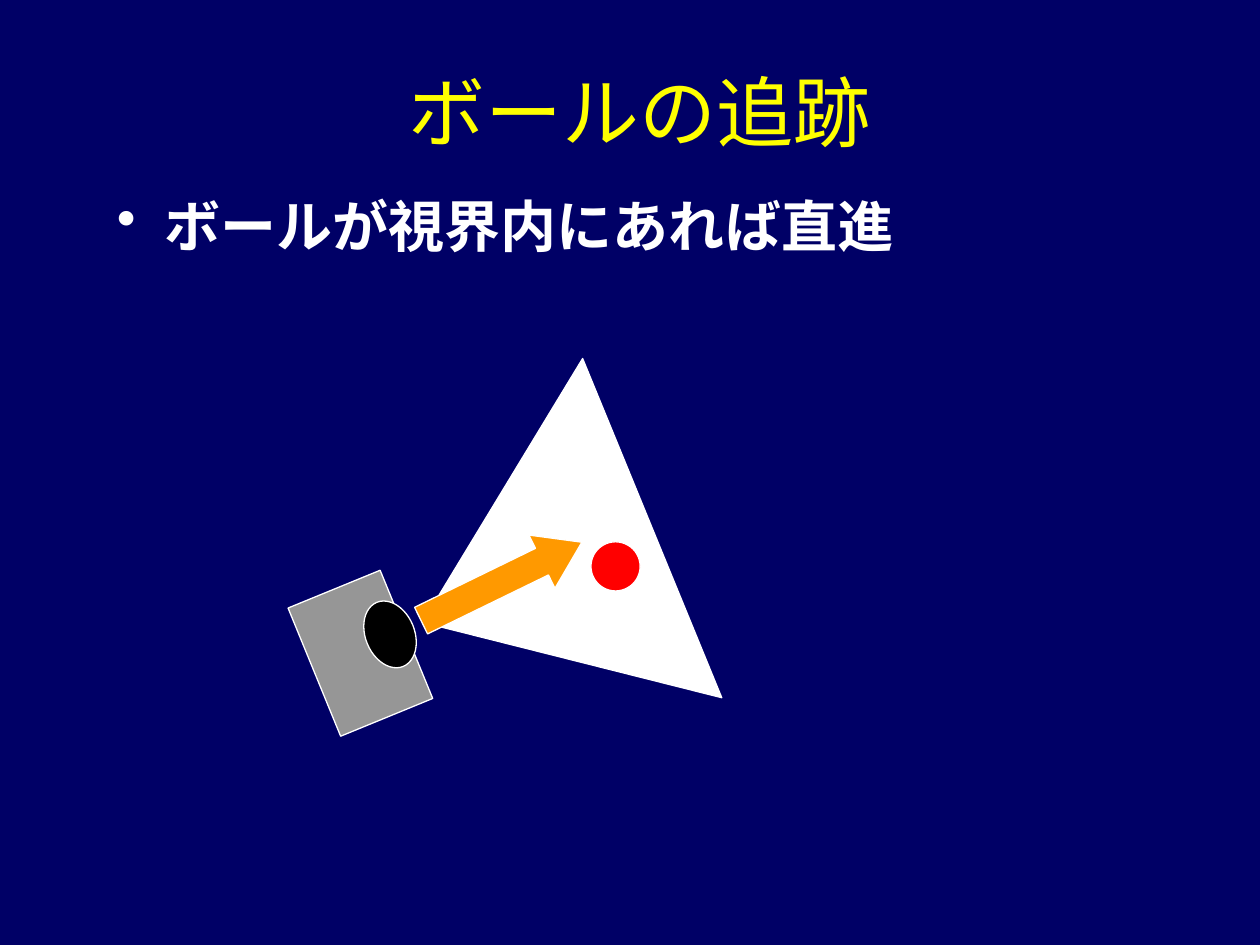
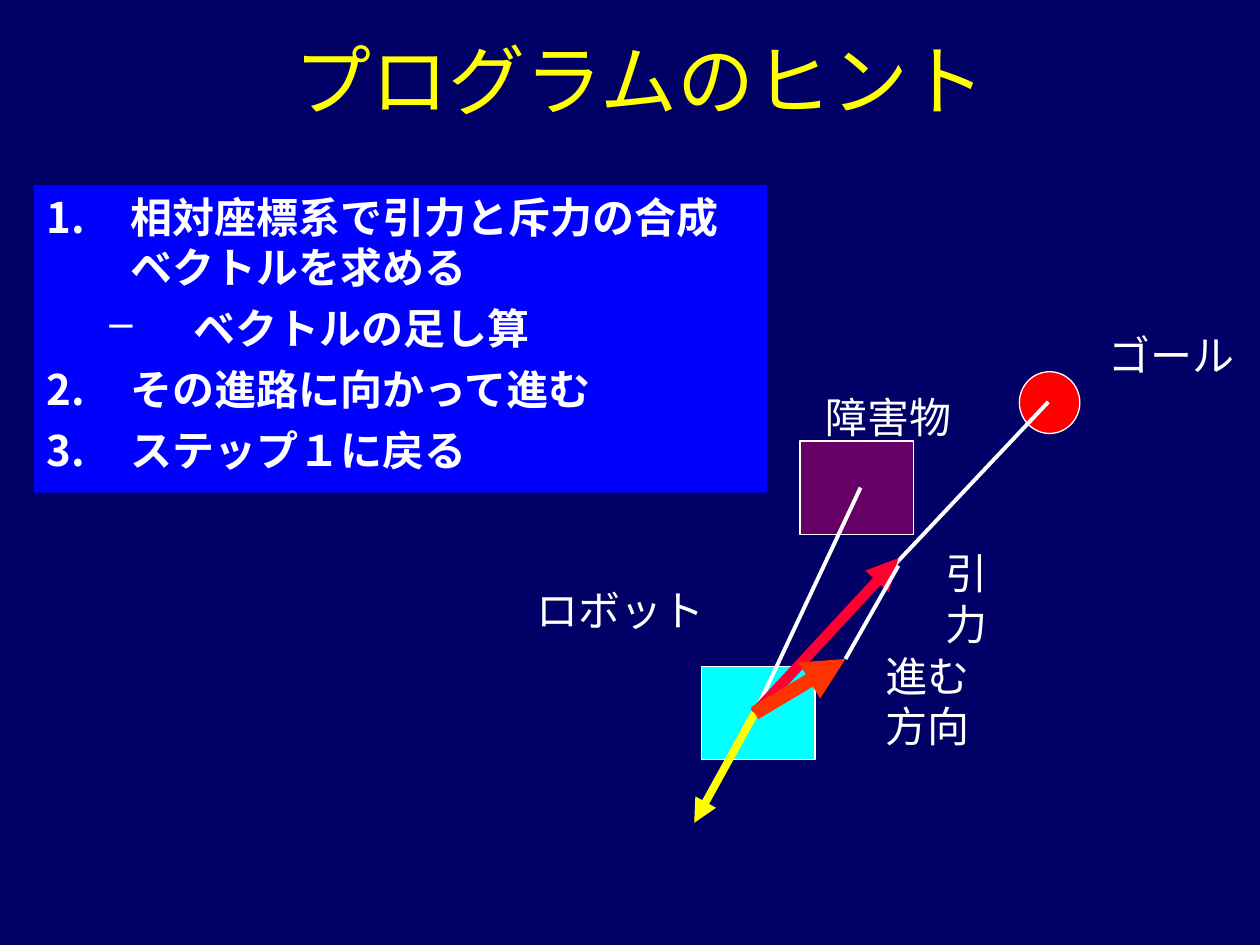
from lxml import etree
from pptx import Presentation
from pptx import util as u
from pptx.dml.color import RGBColor
from pptx.enum import shapes, text
from pptx.oxml import ns

COLOURS = {
    "background": "000066", "title": "FFFF00", "white": "FFFFFF", "panel": "0000FF",
    "ball": "FF0000", "body": "969696", "lens": "000000", "heading": "FF9900",
    "robot": "00FFFF", "obstacle": "660066", "repulsion": "FFFF00",
    "attraction": "FF0033", "course": "FF3300",
}
FONT = "Times New Roman"
SHAPE = shapes.MSO_SHAPE
NUMBER = ("buAutoNum", {"type": "arabicPeriod"})
DOT = ("buChar", {"char": "•"})
DASH = ("buChar", {"char": "–"})


def colour(name):
    return RGBColor.from_string(COLOURS[name])


def add_element(parent, tag, **attributes):
    return etree.SubElement(parent, ns.qn(f"a:{tag}"), attributes)


class Deck:
    """Holds the shared style and the slide being drawn."""

    def __init__(self):
        self.presentation = Presentation()
        self.presentation.slide_width = u.Inches(10)
        self.presentation.slide_height = u.Inches(7.5)
        self.slide = None

    def add_slide(self, title, title_top):
        self.slide = self.presentation.slides.add_slide(self.presentation.slide_layouts[6])
        background = self.slide.background.fill
        background.solid()
        background.fore_color.rgb = colour("background")
        box = self.text_box(0.83, title_top, 8.5, 1.25)
        box.text_frame.vertical_anchor = text.MSO_ANCHOR.MIDDLE
        paragraph = box.text_frame.paragraphs[0]
        paragraph.alignment = text.PP_ALIGN.CENTER
        self.set_words(paragraph, title, 44, "title")

    def text_box(self, left, top, width, height):
        box = self.slide.shapes.add_textbox(*map(u.Inches, (left, top, width, height)))
        box.text_frame.word_wrap = True
        return box

    def set_words(self, paragraph, words, size, colour_name="white", bold=False):
        paragraph.add_run().text = words
        font = paragraph.font
        font.name, font.size, font.bold = FONT, u.Pt(size), bold
        font.color.rgb = colour(colour_name)

    def label(self, left, top, width, words, height=0.5, wrap=False):
        box = self.text_box(left, top, width, height)
        box.text_frame.word_wrap = wrap
        self.set_words(box.text_frame.paragraphs[0], words, 24)

    def bullets(self, place, items, size, space, fill=None):
        """Add items of (words, level, left margin, hanging indent, bullet)."""
        box = self.text_box(*place)
        if fill:
            box.fill.solid()
            box.fill.fore_color.rgb = colour(fill)
        frame = box.text_frame
        for index, (words, level, margin, hanging, bullet) in enumerate(items):
            paragraph = frame.add_paragraph() if index else frame.paragraphs[0]
            paragraph.level = level
            paragraph.space_before = u.Pt(space if index else 0)
            properties = paragraph._p.get_or_add_pPr()
            properties.set("marL", str(u.Inches(margin)))
            properties.set("indent", str(-u.Inches(hanging)))
            bullet_colour = add_element(properties, "buClr")
            add_element(bullet_colour, "srgbClr", val=COLOURS["white"])
            tag, attributes = bullet
            add_element(properties, tag, **attributes)
            self.set_words(paragraph, words, size, bold=True)

    def shape(self, kind, left, top, width, height, fill, rotation=0):
        shape = self.slide.shapes.add_shape(kind, *map(u.Inches, (left, top, width, height)))
        shape.shadow.inherit = False
        shape.rotation = rotation
        shape.fill.solid()
        shape.fill.fore_color.rgb = colour(fill)
        shape.line.color.rgb = colour("white")
        shape.line.width = u.Pt(0.75)
        return shape

    def line(self, start, end, colour_name="white", width=2.25, arrow=False):
        line = self.slide.shapes.add_connector(
            shapes.MSO_CONNECTOR.STRAIGHT, *map(u.Inches, (*start, *end)))
        line.line.color.rgb = colour(colour_name)
        line.line.width = u.Pt(width)
        if arrow:
            outline = line._element.spPr.find(ns.qn("a:ln"))
            add_element(outline, "tailEnd", type="triangle")
        add_element(line._element.spPr, "effectLst")


def build_tracking(deck):
    deck.add_slide("ボールの追跡", 0.25)
    deck.bullets((0.83, 1.47, 8.5, 5.17),
                 [("ボールが視界内にあれば直進", 0, 0.38, 0.38, DOT)], 32, 8)
    tilt = 67.7
    deck.shape(SHAPE.RECTANGLE, 2.31, 4.79, 1.1, 0.79, "body", tilt)
    deck.shape(SHAPE.ISOSCELES_TRIANGLE, 2.81, 3.58, 2.91, 1.97, "white", tilt + 180)
    deck.shape(SHAPE.OVAL, 2.82, 4.84, 0.55, 0.39, "lens", tilt)
    deck.shape(SHAPE.OVAL, 4.69, 4.3, 0.39, 0.39, "ball")
    arrow = deck.shape(SHAPE.RIGHT_ARROW, 3.27, 4.38, 1.42, 0.47, "heading", 334)
    arrow.adjustments[1] = 0.75


def build_hint(deck):
    deck.add_slide("プログラムのヒント", 0)
    deck.bullets((0.27, 1.47, 5.82, 2.44), [
        ("相対座標系で引力と斥力の合成ベクトルを求める", 0, 0.67, 0.67, NUMBER),
        ("ベクトルの足し算", 1, 1.17, 0.67, DASH),
        ("その進路に向かって進む", 0, 0.67, 0.67, NUMBER),
        ("ステップ１に戻る", 0, 0.67, 0.67, NUMBER),
    ], 24, 6, "panel")

    deck.shape(SHAPE.RECTANGLE, 5.57, 5.29, 0.9, 0.74, "robot")
    deck.shape(SHAPE.OVAL, 8.09, 2.95, 0.48, 0.49, "ball")
    deck.shape(SHAPE.RECTANGLE, 6.35, 3.5, 0.9, 0.74, "obstacle")

    robot, course_end = (5.99, 5.66), (6.71, 5.23)
    deck.line((6.83, 3.87), robot)
    deck.line(robot, (5.51, 6.53), "repulsion", 4.5, arrow=True)
    deck.line(robot, (8.32, 3.19))
    deck.line(robot, (7.13, 4.43), "attraction", 6, arrow=True)
    deck.line((7.13, 4.49), course_end)
    deck.line(robot, course_end, "course", 8, arrow=True)

    deck.label(7.41, 4.3, 0.86, "引力")
    deck.label(6.93, 5.11, 1.16, "進む方向", height=0.9, wrap=True)
    deck.label(6.45, 3.06, 1.2, "障害物")
    deck.label(8.7, 2.57, 1.2, "ゴール")
    deck.label(4.16, 4.59, 1.53, "ロボット")


def main():
    deck = Deck()
    build_tracking(deck)
    build_hint(deck)
    deck.presentation.save("out.pptx")


if __name__ == "__main__":
    main()
